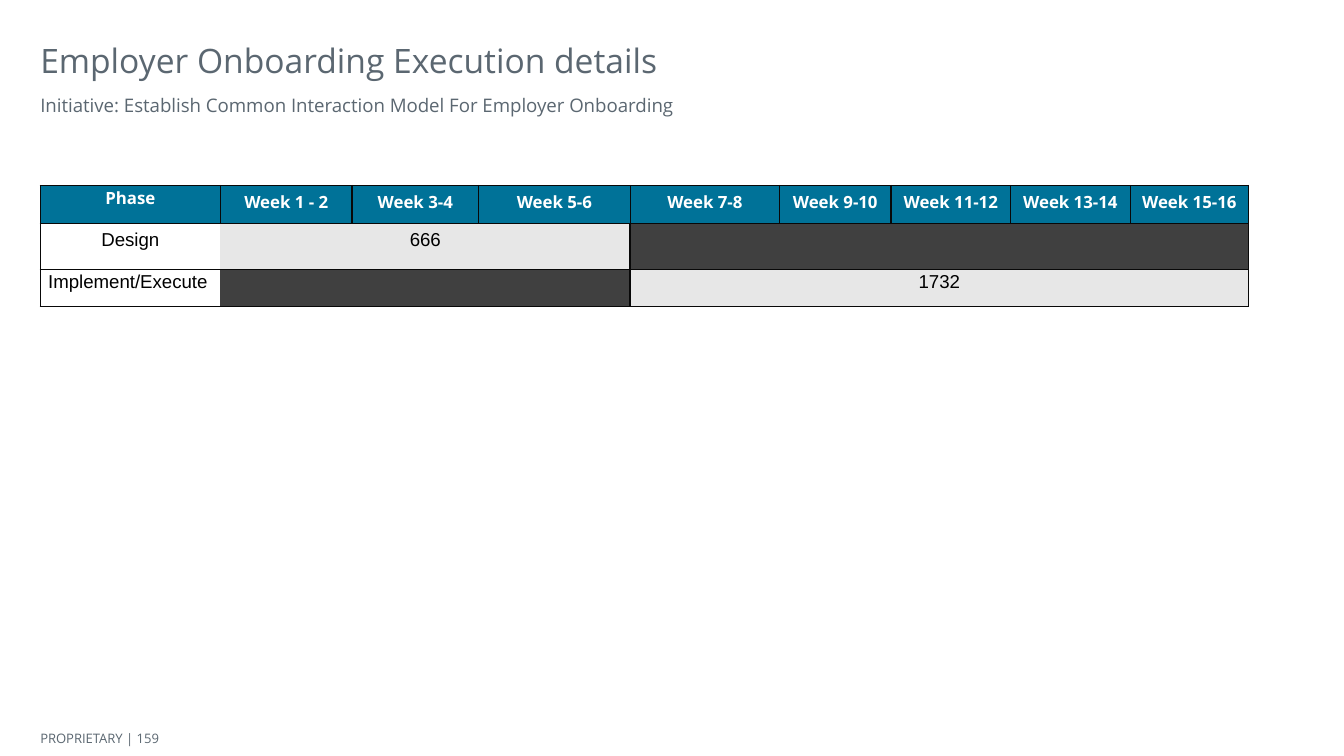
from lxml import etree
from pptx import Presentation
from pptx.dml.color import RGBColor
from pptx.enum.text import MSO_ANCHOR, PP_ALIGN
from pptx.oxml.ns import qn
from pptx.util import Inches, Pt

TOP, MID = MSO_ANCHOR.TOP, MSO_ANCHOR.MIDDLE
CENTER = PP_ALIGN.CENTER

WIDE = 10
HIGH = WIDE * 9 / 16
EDGE = 0.03  # left margin as a share of the width
SLATE, TEAL, PALE, DARK = "5B6771", "007298", "E7E7E7", "404040"
INK, BLACK, WHITE = "080808", "000000", "FFFFFF"

COLS = [1.34, 0.98, 0.94, 1.13, 1.11, 0.83, 0.89, 0.89, 0.88]
ROWS = [0.28, 0.34, 0.28]
HEADS = ["Phase", "Week 1 - 2", "Week 3-4", "Week 5-6", "Week 7-8",
         "Week 9-10", "Week 11-12", "Week 13-14", "Week 15-16"]
SPLIT = 4  # first column of the second time span

HEAD = {"size": Pt(9), "name": "Open Sans", "bold": True}
BODY = {"size": Pt(10), "name": "Arial", "bold": False}
PAD = {"margin_left": 0.01, "margin_right": 0.01,
       "margin_top": 0.01, "margin_bottom": 0.1}


def color(code):
    return RGBColor.from_string(code)


def style(font, look, code):
    for key, value in look.items():
        setattr(font, key, value)
    font.color.rgb = color(code)


def label(slide, text, top, wide, high, size, anchor=TOP):
    """Add a line of text; top, wide and high are shares of the slide."""
    box = slide.shapes.add_textbox(
        Inches(EDGE * WIDE), Inches(top * HIGH),
        Inches(wide * WIDE), Inches(high * HIGH))
    frame = box.text_frame
    frame.word_wrap = True
    frame.vertical_anchor = anchor
    for side in ("left", "right", "top", "bottom"):
        setattr(frame, "margin_" + side, 0)
    run = frame.paragraphs[0].add_run()
    run.text = text
    style(run.font, {"size": Pt(size), "name": "Open Sans"}, SLATE)


def border(cell, edges):
    """Draw the sides in edges, given as side: points; hide the others."""
    props = cell._tc.get_or_add_tcPr()
    for side in "LRTB":
        line = etree.SubElement(props, qn("a:ln" + side))
        if side in edges:
            line.set("w", str(Pt(edges[side])))
            fill = etree.SubElement(line, qn("a:solidFill"))
            etree.SubElement(fill, qn("a:srgbClr")).set("val", INK)
        else:
            line.set("w", "0")
            etree.SubElement(line, qn("a:noFill"))


def paint(cell, fill, edges):
    border(cell, edges)
    if fill:
        cell.fill.solid()
        cell.fill.fore_color.rgb = color(fill)
    else:
        cell.fill.background()
    for key, value in PAD.items():
        setattr(cell, key, Inches(value))
    cell.vertical_anchor = MID


def write(cell, text, look, code, gap=None):
    para = cell.text_frame.paragraphs[0]
    para.alignment = CENTER
    if gap:
        para.line_spacing = gap
    if text:
        run = para.add_run()
        run.text = text
        style(run.font, look, code)
    else:
        para.font.size = look["size"]


def span(grid, row, first, last, text, fill, edges):
    """Merge the columns first to last of a row into one bar."""
    for col in range(first, last + 1):
        paint(grid.cell(row, col), fill, edges)
    if last > first:
        grid.cell(row, first).merge(grid.cell(row, last))
    write(grid.cell(row, first), text, BODY, BLACK)


def plan(slide):
    grid = slide.shapes.add_table(
        len(ROWS), len(COLS), Inches(EDGE * WIDE), Inches(1.38),
        Inches(sum(COLS)), Inches(sum(ROWS))).table
    grid.first_row = grid.horz_banding = False
    for col, wide in zip(grid.columns, COLS):
        col.width = Inches(wide)
    for row, high in zip(grid.rows, ROWS):
        row.height = Inches(high)

    # Header row
    for col, text in enumerate(HEADS):
        cell = grid.cell(0, col)
        paint(cell, TEAL, {"L": 0.75, "R": 0.75, "T": 0.75,
                           "B": 1 if col else 0.75})
        write(cell, text, HEAD, WHITE, 1.15 if col else None)

    # Phase rows: name, early span, late span
    phases = [("Design", ("666", PALE), ("", DARK)),
              ("Implement/Execute ", ("", DARK), ("1732", PALE))]
    for row, (name, early, late) in enumerate(phases, 1):
        ends = {"T": 1 if row == 1 else 0.75, "B": 0.75}
        span(grid, row, 0, 0, name, None, {"L": 0.75, "T": 0.75, "B": 0.75})
        span(grid, row, 1, SPLIT - 1, *early, {"R": 1, **ends})
        span(grid, row, SPLIT, len(COLS) - 1, *late,
             {"L": 1, "R": 1, **ends})


def main():
    deck = Presentation()
    deck.slide_width, deck.slide_height = Inches(WIDE), Inches(HIGH)
    slide = deck.slides.add_slide(deck.slide_layouts[6])

    # Headings
    label(slide, "Employer Onboarding Execution details",
          0.053, 0.94, 0.075, 18)
    label(slide, "Initiative: Establish Common Interaction Model "
          "For Employer Onboarding", 0.124, 0.94, 0.03, 10)

    # Schedule
    plan(slide)

    # Footer
    label(slide, "PROPRIETARY | 159", 0.96, 0.14, 0.033, 7, MID)

    deck.save("out.pptx")


if __name__ == "__main__":
    main()
